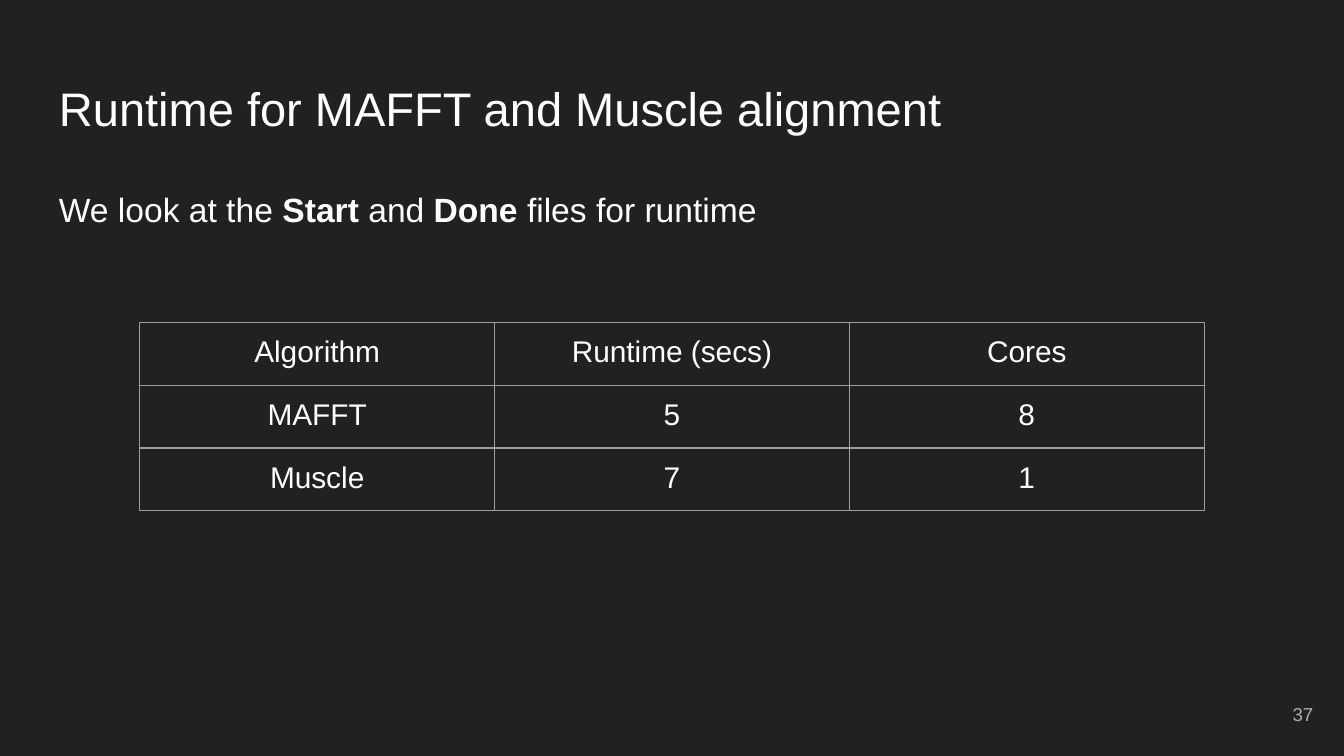
import pptx
import pptx.dml.color
import pptx.enum.text
import pptx.oxml
import pptx.oxml.ns
import pptx.util
from pptx.util import Inches

COLORS = {
    "background": "212121",
    "text": "FFFFFF",
    "number": "ADADAD",
    "border": "9E9E9E",
}
FONT = "Arial"
ALIGN = pptx.enum.text.PP_ALIGN
ANCHOR = pptx.enum.text.MSO_ANCHOR
MARGIN = Inches(0.1)
BORDER_WIDTH = 0.75
RUNTIMES = [
    ["Algorithm", "Runtime (secs)", "Cores"],
    ["MAFFT", "5", "8"],
    ["Muscle", "7", "1"],
]


def rgb(name):
    return pptx.dml.color.RGBColor.from_string(COLORS[name])


def format_span(span, size, color="text", bold=False):
    span.font.name = FONT
    span.font.size = pptx.util.Pt(size)
    span.font.bold = bold
    span.font.color.rgb = rgb(color)


def set_margins(target):
    target.margin_left = target.margin_right = MARGIN
    target.margin_top = target.margin_bottom = MARGIN


def add_text(page, area, spans, size, color="text", align=ALIGN.LEFT, anchor=ANCHOR.TOP):
    box = page.shapes.add_textbox(*(Inches(length) for length in area))
    frame = box.text_frame
    frame.word_wrap = True
    frame.vertical_anchor = anchor
    set_margins(frame)
    para = frame.paragraphs[0]
    para.alignment = align
    for text, bold in spans:
        span = para.add_run()
        span.text = text
        format_span(span, size, color, bold)
    return para


def add_borders(cell):
    properties = cell._tc.get_or_add_tcPr()
    width = pptx.util.Pt(BORDER_WIDTH)
    for position, side in enumerate(("lnL", "lnR", "lnT", "lnB")):
        line = pptx.oxml.parse_xml(
            f'<a:{side} {pptx.oxml.ns.nsdecls("a")} w="{width}">'
            f'<a:solidFill><a:srgbClr val="{COLORS["border"]}"/></a:solidFill>'
            f'</a:{side}>'
        )
        properties.insert(position, line)


def add_table(page, rows, area, column_width, row_height):
    left, top, width, height = (Inches(length) for length in area)
    holder = page.shapes.add_table(len(rows), len(rows[0]), left, top, width, height)
    table = holder.table
    table.first_row = False
    table.horz_banding = False
    for column in table.columns:
        column.width = Inches(column_width)
    for row, values in zip(table.rows, rows):
        row.height = Inches(row_height)
        for cell, value in zip(row.cells, values):
            cell.fill.background()
            set_margins(cell)
            add_borders(cell)
            cell.text_frame.text = value
            para = cell.text_frame.paragraphs[0]
            para.alignment = ALIGN.CENTER
            format_span(para.runs[0], 16)
    holder.width, holder.height = width, height


def main():
    deck = pptx.Presentation()
    deck.slide_width = Inches(10)
    deck.slide_height = Inches(10 * 9 / 16)
    page = deck.slides.add_slide(deck.slide_layouts[6])
    page.background.fill.solid()
    page.background.fill.fore_color.rgb = rgb("background")

    add_text(page, (0.34, 0.49, 9.32, 0.63),
             [("Runtime for MAFFT and Muscle alignment", False)], 25.2)
    body = add_text(page, (0.34, 1.26, 9.32, 3.74), [
        ("We look at the ", False),
        ("Start ", True),
        ("and", False),
        (" Done ", True),
        ("files for runtime", False),
    ], 18)
    body.line_spacing = 1.15
    add_table(page, RUNTIMES, (1.04, 2.4, 3.28, 3.28), 2.64, 0.42)
    add_text(page, (9.27, 5.1, 0.6, 0.43), [("37", False)], 10,
             "number", ALIGN.RIGHT, ANCHOR.MIDDLE)
    deck.save("out.pptx")


if __name__ == "__main__":
    main()
